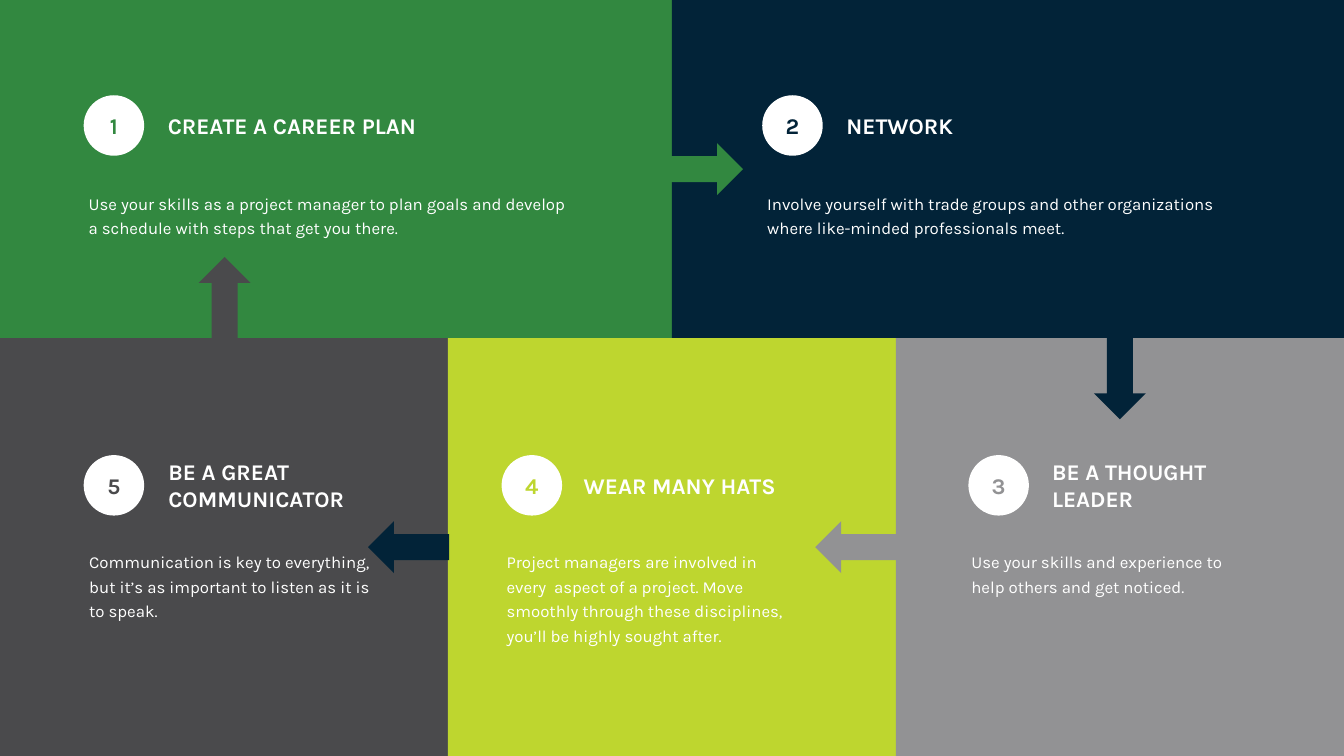
from pptx import Presentation
from pptx.dml.color import RGBColor
from pptx.enum.shapes import MSO_SHAPE
from pptx.enum.text import MSO_ANCHOR, MSO_AUTO_SIZE, PP_ALIGN
from pptx.util import Pt

PX = 9144  # EMU per px, 100 px to the inch
PAGE_WIDTH, PAGE_HEIGHT = 2666, 1500
TOP_HEIGHT = 671
FONT = "Karla"
COLORS = {
    "green": "328840",
    "navy": "022338",
    "charcoal": "4A4A4C",
    "lime": "BED62F",
    "gray": "929294",
    "white": "FFFFFF",
}

# Tile colours by row, left to right
TOP_TILES = ["green", "navy"]
BOTTOM_TILES = ["charcoal", "lime", "gray"]

# Arrow preset, left, top, colour
ARROW_LENGTH, ARROW_BREADTH = 161, 103
ARROWS = [
    (MSO_SHAPE.RIGHT_ARROW, 1313, 284, "green"),
    (MSO_SHAPE.LEFT_ARROW, 730, 1034, "navy"),
    (MSO_SHAPE.LEFT_ARROW, 1617, 1034, "gray"),
    (MSO_SHAPE.DOWN_ARROW, 2170, TOP_HEIGHT, "navy"),
    (MSO_SHAPE.UP_ARROW, 394, TOP_HEIGHT - ARROW_LENGTH, "charcoal"),
]
VERTICAL_ARROWS = (MSO_SHAPE.DOWN_ARROW, MSO_SHAPE.UP_ARROW)

# Colour, badge left, title left, title width, body left, title, body
STEPS = [
    ("green", 166, 323, 544, 166, "CREATE A CAREER PLAN",
     "Use your skills as a project manager to plan goals and develop "
     "a schedule with steps that get you there."),
    ("navy", 1512, 1669, 248, 1512, "NETWORK",
     "Involve yourself with trade groups and other organizations "
     "where like-minded professionals meet."),
    ("gray", 1921, 2077, 355, 1917, "BE A THOUGHT\nLEADER",
     "Use your skills and experience to help others and get noticed."),
    ("lime", 995, 1148, 431, 995, "WEAR MANY HATS",
     "Project managers are involved in every  aspect of a project. Move "
     "smoothly through these disciplines, you’ll be highly sought after."),
    ("charcoal", 166, 324, 409, 167, "BE A GREAT\nCOMMUNICATOR",
     "Communication is key to everything, but it’s as important to "
     "listen as it is to speak."),
]
BADGE_SIZE = 120
# Badge top, body top, body width
TOP_ROW = (189, 370, 988)
BOTTOM_ROW = (903, 1082, 587)
BODY_HEIGHTS = [103, 103, 103, 201, 152]


def to_emu(*lengths):
    return [round(length * PX) for length in lengths]


def add_filled(page, preset, left, top, width, height, color):
    shape = page.shapes.add_shape(preset, *to_emu(left, top, width, height))
    shape.shadow.inherit = False
    shape.fill.solid()
    shape.fill.fore_color.rgb = RGBColor.from_string(COLORS[color])
    shape.line.fill.background()
    return shape


def write(frame, text, size, color, bold=False, align=PP_ALIGN.LEFT, spacing=None):
    frame.text = text
    for para in frame.paragraphs:
        para.alignment = align
        if spacing:
            para.line_spacing = Pt(spacing)
        for span in para.runs:
            span.font.name = FONT
            span.font.size = Pt(size)
            span.font.bold = bold
            span.font.color.rgb = RGBColor.from_string(COLORS[color])


def add_text(page, left, top, width, height, wrap, anchor):
    box = page.shapes.add_textbox(*to_emu(left, top, width, height))
    frame = box.text_frame
    frame.word_wrap = wrap
    frame.auto_size = MSO_AUTO_SIZE.SHAPE_TO_FIT_TEXT
    frame.vertical_anchor = anchor
    return frame


def add_tiles(page, colors, top, height):
    step = PAGE_WIDTH / len(colors)
    for column, color in enumerate(colors):
        add_filled(page, MSO_SHAPE.RECTANGLE, column * step, top, step, height, color)


def add_step(page, number, step, row, body_height):
    color, badge_left, title_left, title_width, body_left, title, body = step
    badge_top, body_top, body_width = row

    # Numbered badge
    badge = add_filled(page, MSO_SHAPE.OVAL, badge_left, badge_top,
                       BADGE_SIZE, BADGE_SIZE, "white")
    badge.text_frame.word_wrap = False
    badge.text_frame.vertical_anchor = MSO_ANCHOR.MIDDLE
    write(badge.text_frame, str(number), 32, color, True, PP_ALIGN.CENTER)

    # Title, centred on the badge
    title_height = 64 + 54 * title.count("\n")
    title_top = badge_top + (BADGE_SIZE - title_height) / 2
    frame = add_text(page, title_left, title_top, title_width, title_height,
                     False, MSO_ANCHOR.MIDDLE)
    write(frame, title, 32, "white", True)

    # Body
    frame = add_text(page, body_left, body_top, body_width, body_height,
                     True, MSO_ANCHOR.TOP)
    write(frame, body, 24, "white", spacing=35)


def main():
    deck = Presentation()
    deck.slide_width, deck.slide_height = to_emu(PAGE_WIDTH, PAGE_HEIGHT)
    page = deck.slides.add_slide(deck.slide_layouts[6])

    # Background tiles
    add_tiles(page, TOP_TILES, 0, TOP_HEIGHT)
    add_tiles(page, BOTTOM_TILES, TOP_HEIGHT, PAGE_HEIGHT - TOP_HEIGHT)

    # Arrows between tiles
    for preset, left, top, color in ARROWS:
        size = (ARROW_LENGTH, ARROW_BREADTH)
        if preset in VERTICAL_ARROWS:
            size = size[::-1]
        add_filled(page, preset, left, top, *size, color)

    # Steps
    for number, (step, body_height) in enumerate(zip(STEPS, BODY_HEIGHTS), 1):
        row = TOP_ROW if step[0] in TOP_TILES else BOTTOM_ROW
        add_step(page, number, step, row, body_height)

    deck.save("out.pptx")


if __name__ == "__main__":
    main()
